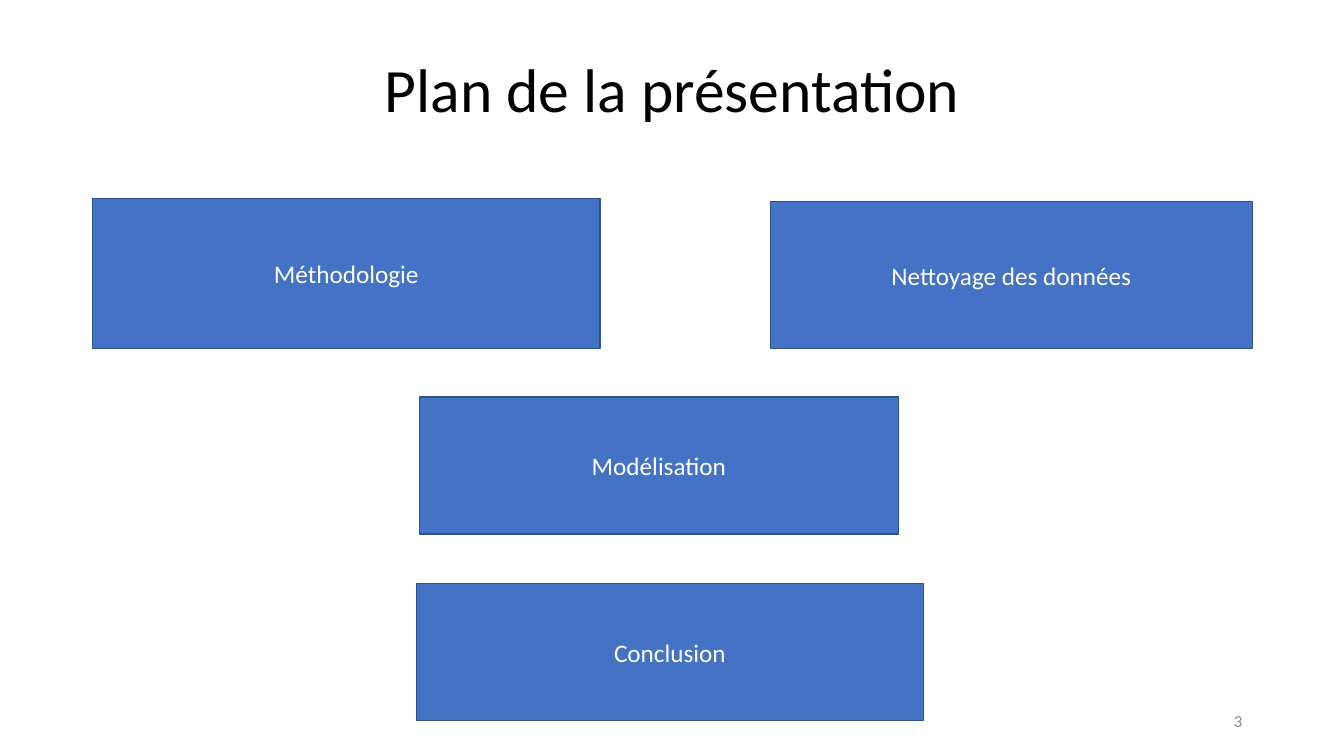
from pptx import Presentation
from pptx.dml.color import RGBColor
from pptx.enum.shapes import MSO_SHAPE
from pptx.enum.text import MSO_ANCHOR, PP_ALIGN
from pptx.util import Inches, Pt


def rgb(value):
    return RGBColor.from_string(value)


def write(tf, text, size=18, color="FFFFFF", align=PP_ALIGN.CENTER, spacing=1.0, font="Calibri"):
    tf.word_wrap = True
    tf.vertical_anchor = MSO_ANCHOR.MIDDLE
    p = tf.paragraphs[0]
    p.alignment = align
    p.line_spacing = spacing
    r = p.add_run()
    r.text = text
    r.font.name = font
    r.font.size = Pt(size)
    r.font.color.rgb = rgb(color)


class PlanSlide:
    fill = "4472C4"
    outline = "2F528F"

    def __init__(self, prs):
        self.s = prs.slides.add_slide(prs.slide_layouts[6])

    def text(self, text, left, top, width, height, **fmt):
        sp = self.s.shapes.add_textbox(Inches(left), Inches(top), Inches(width), Inches(height))
        write(sp.text_frame, text, **fmt)

    def box(self, text, left, top, width, height):
        sp = self.s.shapes.add_shape(
            MSO_SHAPE.RECTANGLE, Inches(left), Inches(top), Inches(width), Inches(height)
        )
        sp.shadow.inherit = False
        sp.fill.solid()
        sp.fill.fore_color.rgb = rgb(self.fill)
        sp.line.color.rgb = rgb(self.outline)
        sp.line.width = Pt(1)
        write(sp.text_frame, text)


def main():
    prs = Presentation()
    prs.slide_width = Inches(13.33)
    prs.slide_height = Inches(7.5)
    plan = PlanSlide(prs)
    plan.text("Plan de la présentation", 0.92, 0.4, 11.5, 1.04, size=44, color="000000", spacing=0.9)
    sections = [
        ("Méthodologie", 0.92, 1.97, 5.03, 1.49),
        ("Nettoyage des données", 7.64, 2, 4.78, 1.46),
        ("Modélisation", 4.16, 3.94, 4.75, 1.36),
        ("Conclusion", 4.13, 5.79, 5.03, 1.36),
    ]
    for section in sections:
        plan.box(*section)
    plan.text("3", 9.42, 6.95, 3, 0.4, size=12, color="898989", align=PP_ALIGN.RIGHT)
    prs.save("out.pptx")


if __name__ == "__main__":
    main()
